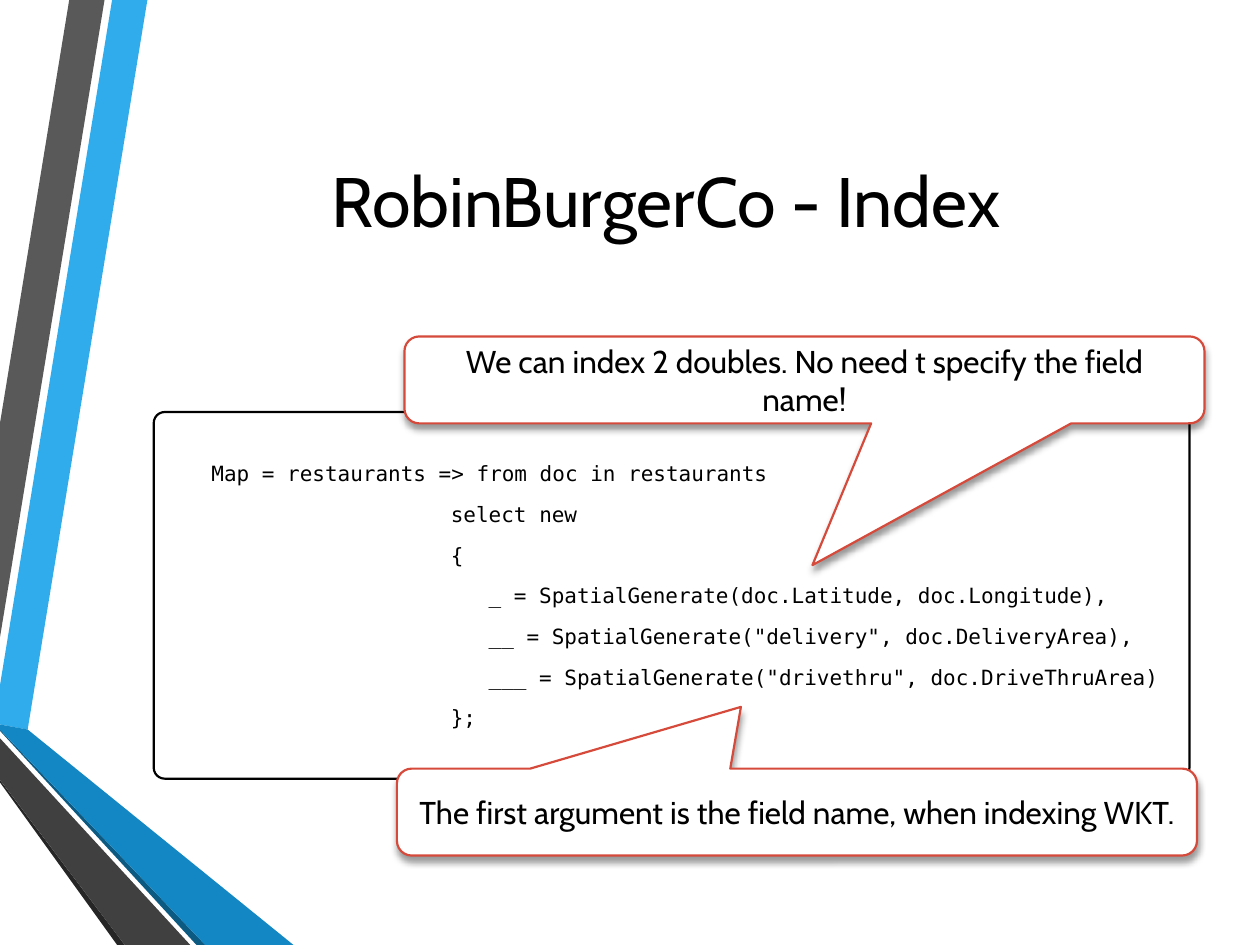
"""Build the slide that explains the spatial index of the restaurants."""
from lxml.etree import SubElement
from pptx import Presentation
from pptx.dml.color import RGBColor
from pptx.enum.shapes import MSO_SHAPE
from pptx.enum.text import MSO_ANCHOR, PP_ALIGN
from pptx.oxml.ns import qn
from pptx.util import Inches, Pt

BLACK = RGBColor(0x00, 0x00, 0x00)
WHITE = RGBColor(0xFF, 0xFF, 0xFF)
RED = RGBColor(0xD6, 0x4A, 0x3B)
SKY = RGBColor(0x30, 0xAC, 0xEC)
BLUE = RGBColor(0x12, 0x87, 0xC3)
NAVY = RGBColor(0x0C, 0x5A, 0x82)
GREY = RGBColor(0x59, 0x59, 0x59)
CHARCOAL = RGBColor(0x40, 0x40, 0x40)
SOOT = RGBColor(0x26, 0x26, 0x26)

TITLE_FONT = {"name": "Cabin", "size": Pt(40)}
NOTE_FONT = {"name": "Cabin", "size": Pt(18)}
CODE_FONT = {"name": "DejaVu Sans Mono", "size": Pt(12)}
CENTERED = {"alignment": PP_ALIGN.CENTER}
CODE_SPACING = {"space_before": Pt(2.8), "space_after": Pt(6)}


def write(paragraph, text, font, layout):
    run = paragraph.add_run()
    run.text = text
    run.font.color.rgb = BLACK
    for target, formats in ((run.font, font), (paragraph, layout)):
        for attribute, value in formats.items():
            setattr(target, attribute, value)


def paint(shape, fill, outline=None):
    shape.shadow.inherit = False
    shape.fill.solid()
    shape.fill.fore_color.rgb = fill
    if outline is None:
        shape.line.fill.background()
    else:
        shape.line.color.rgb = outline
        shape.line.width = Pt(1.25)


deck = Presentation()
deck.slide_width, deck.slide_height = Inches(10), Inches(7.5)
slide = deck.slides.add_slide(deck.slide_layouts[6])
shapes = slide.shapes

ribbons = [
    (SKY, [(0, 5.44), (0, 5.75), (0.22, 5.79), (1.17, 0), (0.89, 0)]),
    (GREY, [(0.83, 0), (0.55, 0), (0, 3.36), (0, 5.06)]),
    (SOOT, [(0, 6.19), (0, 6.21), (0.93, 7.5), (0.99, 7.5)]),
    (NAVY, [(0, 5.79), (0, 5.8), (1.56, 7.5), (1.63, 7.5)]),
    (BLUE, [(0, 5.79), (1.63, 7.5), (2.33, 7.5), (0.22, 5.79), (0, 5.75)]),
    (CHARCOAL, [(0, 6.19), (0.99, 7.5), (1.51, 7.5), (0, 5.86)]),
]
for color, corners in ribbons:
    start, *others = [(Inches(x), Inches(y)) for x, y in corners]
    outline = shapes.build_freeform(*start)
    outline.add_line_segments(others, close=True)
    paint(outline.convert_to_shape(), color)

title = shapes.add_textbox(Inches(1.07), Inches(0.5), Inches(8.43), Inches(2.17)).text_frame
title.word_wrap = True
title.vertical_anchor = MSO_ANCHOR.MIDDLE
write(title.paragraphs[0], "RobinBurgerCo - Index", TITLE_FONT, CENTERED)

code_frame = shapes.add_shape(
    MSO_SHAPE.ROUNDED_RECTANGLE, Inches(1.22), Inches(3.27), Inches(8.22), Inches(2.91))
code_frame.adjustments[0] = 0.03
paint(code_frame, WHITE, BLACK)

code = shapes.add_textbox(Inches(1.28), Inches(3.27), Inches(8.22), Inches(2.91)).text_frame
code.word_wrap = True
code.vertical_anchor = MSO_ANCHOR.MIDDLE
code_lines = [
    (0.3, "Map = restaurants => from doc in restaurants"),
    (2.2, "select new"),
    (2.2, "{"),
    (2.5, "_ = SpatialGenerate(doc.Latitude, doc.Longitude),"),
    (2.5, '__ = SpatialGenerate("delivery", doc.DeliveryArea),'),
    (2.5, '___ = SpatialGenerate("drivethru", doc.DriveThruArea)'),
    (2.2, "};"),
]
for number, (indent, statement) in enumerate(code_lines):
    paragraph = code.add_paragraph() if number else code.paragraphs[0]
    paragraph._p.get_or_add_pPr().set("marL", str(Inches(indent)))
    write(paragraph, statement, CODE_FONT, CODE_SPACING)

notes = [
    (3.15, 6.1, (-0.07, -1.21, 0.17),
     "The first argument is the field name, when indexing WKT."),
    (3.21, 2.67, (0.01, 2.13, 0.17),
     "We can index 2 doubles. No need t specify the field name!"),
]
for left, top, pointer, remark in notes:
    callout = shapes.add_shape(
        MSO_SHAPE.ROUNDED_RECTANGULAR_CALLOUT,
        Inches(left), Inches(top), Inches(6.35), Inches(0.69))
    for index, value in enumerate(pointer):
        callout.adjustments[index] = value
    paint(callout, WHITE, RED)
    effects = callout._element.spPr.find(qn("a:effectLst"))
    shadow = SubElement(effects, qn("a:outerShdw"), blurRad=str(Pt(4)), dist=str(Pt(3)),
                        dir="5400000", rotWithShape="0")
    shade = SubElement(shadow, qn("a:srgbClr"), val=str(BLACK))
    SubElement(shade, qn("a:alpha"), val="40000")
    callout.text_frame.word_wrap = True
    callout.text_frame.vertical_anchor = MSO_ANCHOR.MIDDLE
    write(callout.text_frame.paragraphs[0], remark, NOTE_FONT, CENTERED)

deck.save("out.pptx")
